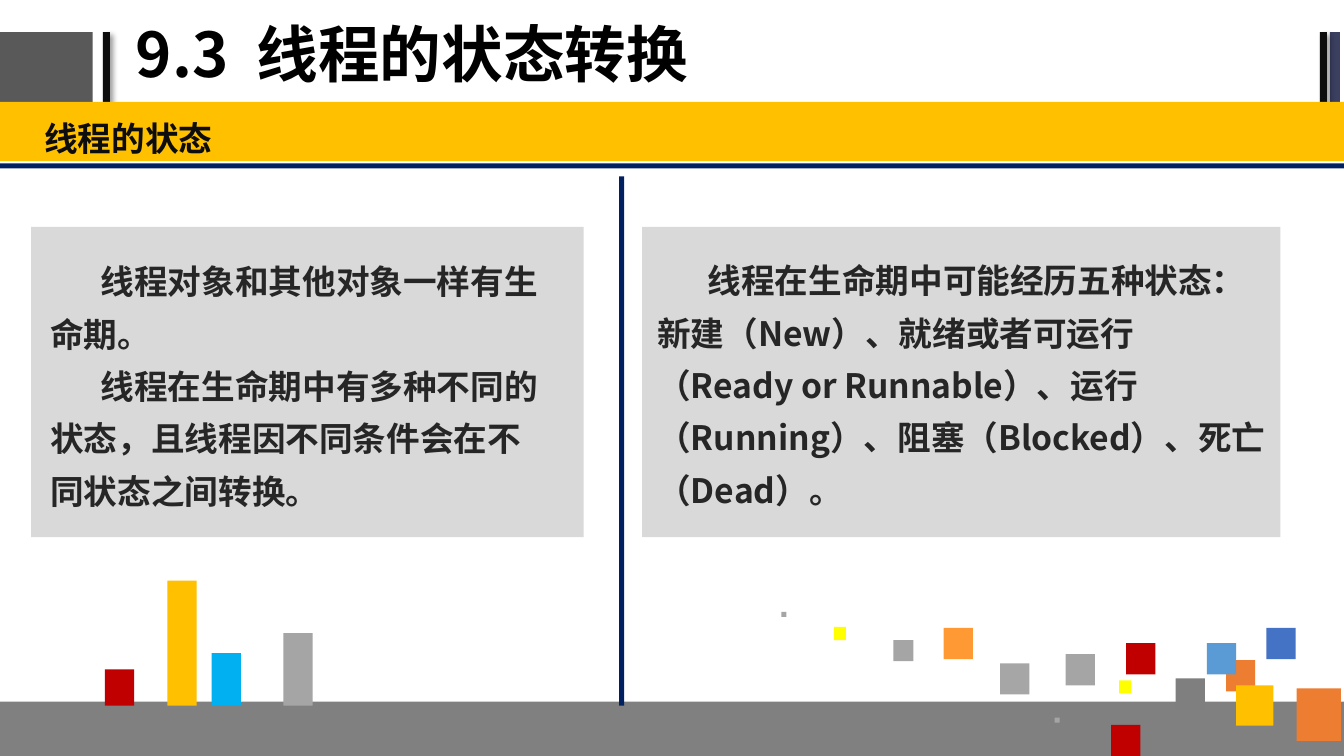
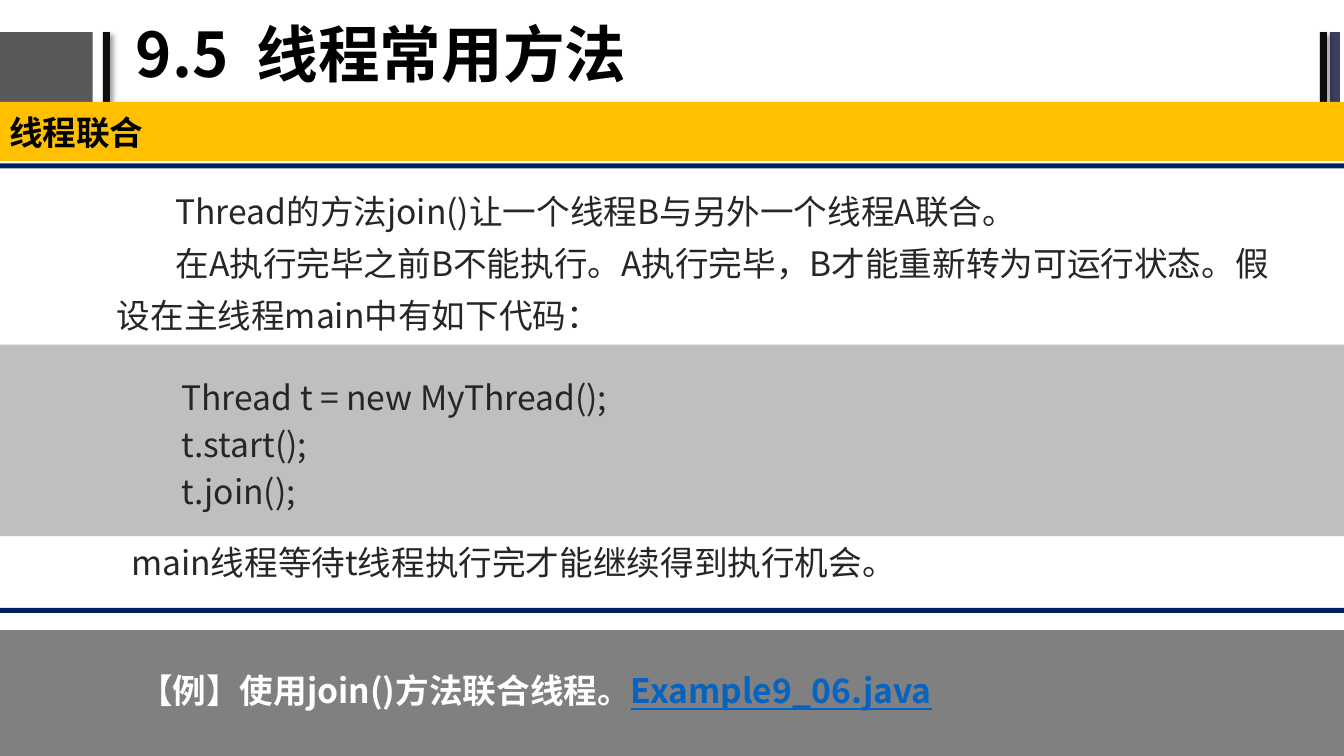
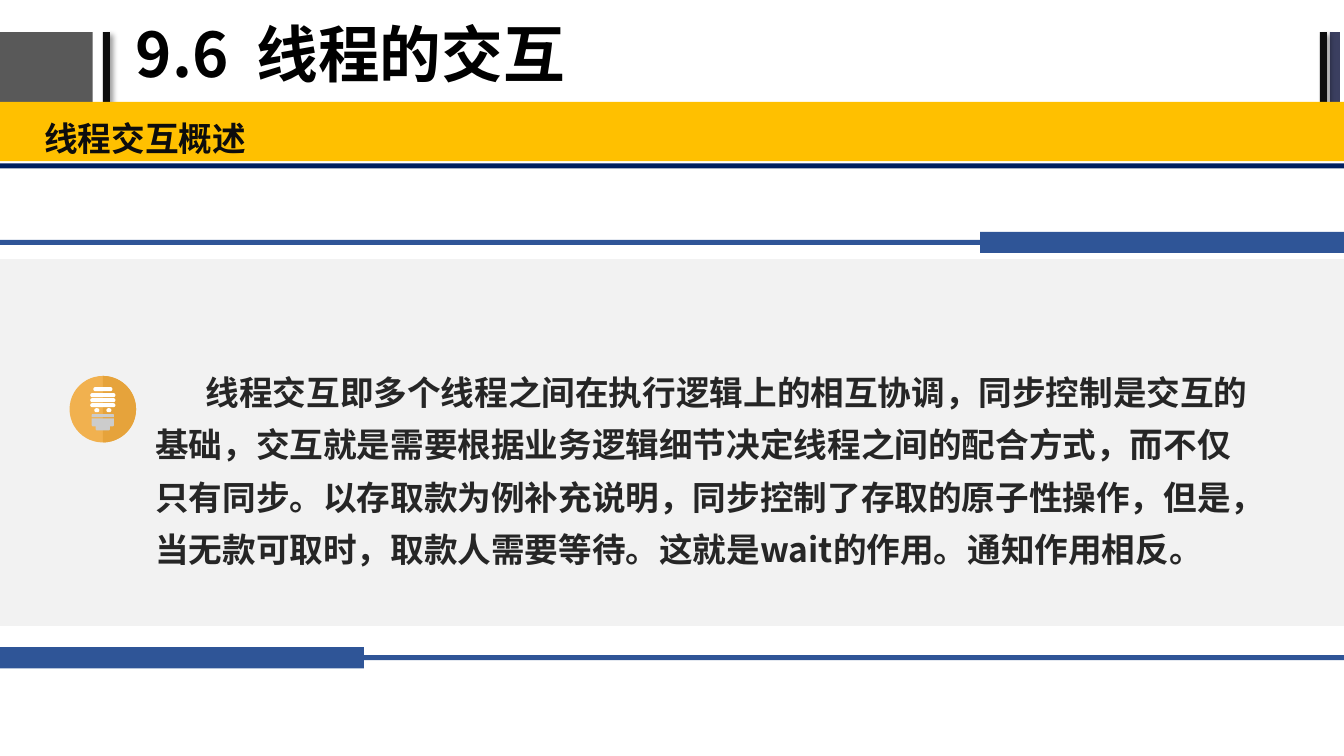
import math
from lxml import etree
from pptx import Presentation
from pptx import util as u
from pptx.dml.color import RGBColor
from pptx.enum import shapes, text
from pptx.oxml.ns import qn

WIDE, HIGH = 13.33, 7.5
FONT = "Noto Sans CJK SC"
NAVY, BLUE, AMBER, GREY = "002060", "2F5597", "FFC000", "808080"
INK, BLACK, WHITE = "262626", "0D0D0D", "FFFFFF"
RED, SILVER, ORANGE, YELLOW = "C00000", "A5A5A5", "ED7D31", "FFFF00"
RULE = 0.05
RECT = shapes.MSO_SHAPE.RECTANGLE
ROUND = shapes.MSO_SHAPE.ROUNDED_RECTANGLE
DOME = shapes.MSO_SHAPE.ROUND_2_SAME_RECTANGLE
OVAL = shapes.MSO_SHAPE.OVAL
TOP, MIDDLE = text.MSO_ANCHOR.TOP, text.MSO_ANCHOR.MIDDLE


def colour(code):
    return RGBColor.from_string(code)


def paint(shape, fill):
    shape.shadow.inherit = False
    shape.fill.solid()
    shape.fill.fore_color.rgb = colour(fill)
    shape.line.fill.background()
    return shape


def block(page, box, fill, kind=RECT):
    return paint(page.shapes.add_shape(kind, *map(u.Inches, box)), fill)


def cast_shadow(shape):
    effects = shape._element.spPr.find(qn("a:effectLst"))
    shadow = etree.SubElement(effects, qn("a:outerShdw"), blurRad=str(u.Pt(4)),
                              dist=str(u.Pt(3)), dir="2700000", algn="tl")
    tint = etree.SubElement(shadow, qn("a:srgbClr"), val="000000")
    etree.SubElement(tint, qn("a:alpha"), val="40000")


def write(page, box, paras, indent=0, lines=1.0, gap=0, anchor=TOP,
          insets=(0.13, 0.07), **style):
    """Each paragraph is a list of (words, format values) spans."""
    frame = page.shapes.add_textbox(*map(u.Inches, box)).text_frame
    frame.word_wrap = True
    frame.vertical_anchor = anchor
    frame.margin_left = frame.margin_right = u.Inches(insets[0])
    frame.margin_top = frame.margin_bottom = u.Inches(insets[1])
    for number, spans in enumerate(paras):
        para = frame.add_paragraph() if number else frame.paragraphs[0]
        para.line_spacing = lines
        para.space_before = u.Pt(gap if number else 0)
        if indent:
            para._p.get_or_add_pPr().set("indent", str(u.Inches(indent)))
        for words, extra in spans:
            add_span(para, words, {"size": 24, "color": INK, **style, **extra})


def add_span(para, words, style):
    span = para.add_run()
    span.text = words
    values = dict(style)
    span.font.color.rgb = colour(values.pop("color"))
    span.font.size = u.Pt(values.pop("size"))
    tracking = values.pop("tracking", 0)
    for name, value in {"name": FONT, **values}.items():
        setattr(span.font, name, value)
    props = span._r.get_or_add_rPr()
    if tracking:
        props.set("spc", str(tracking * 100))
    props.find(qn("a:latin")).addnext(
        etree.Element(qn("a:ea"), typeface=FONT))


def plain(*paras):
    return [[(words, {})] for words in paras]


def header(page, number, title, label, label_left=0.31, anchor=TOP,
           lines=1.2, label_color=BLACK):
    top, tall = 0.32, 0.76
    block(page, (0, top, 0.92, tall), "595959")
    block(page, (13.19, top, 0.1, tall), "3B3F60")
    for left in (1.02, 13.09):
        cast_shadow(block(page, (left, top, 0.07, tall), BLACK))
    write(page, (1.25, 0.02, 8.47, 1.1),
          [[(number, {}), (" ", {"tracking": 10}), (title, {})]],
          lines=0.9, anchor=MIDDLE, insets=(0.1, 0.05),
          size=44, color="000000", bold=True)
    block(page, (0, 1.62, WIDE, RULE), NAVY)
    block(page, (0, 1.01, WIDE, 0.59), AMBER)
    write(page, (label_left, 1.02, WIDE - 1, 0.58), plain(label), lines=lines,
          anchor=anchor, color=label_color, bold=True)


def bars(page, box):
    """Columns standing on the bottom edge of the box."""
    left, top, _, tall = box
    columns = [(1.77, 0.72, SILVER), (1.06, 0.52, "00B0F0"),
               (0.62, 1.24, AMBER), (0, 0.36, RED)]
    for shift, height, fill in columns:
        block(page, (left + shift, top + tall - height, 0.29, height), fill)


def confetti(page, box):
    sizes = {"dot": (0.05, 0.05), "tiny": (0.12, 0.13), "small": (0.2, 0.21),
             "mid": (0.29, 0.31), "big": (0.37, 0.4), "huge": (0.44, 0.52)}
    pieces = [
        (5.11, 0.76, "huge", ORANGE), (4.41, 0.48, "mid", ORANGE),
        (4.51, 0.73, "big", AMBER), (4.22, 0.31, "mid", "5B9BD5"),
        (2.71, 1.05, "dot", SILVER), (4.81, 0.16, "mid", "4472C4"),
        (3.35, 0.68, "tiny", YELLOW), (2.82, 0.42, "mid", SILVER),
        (3.42, 0.31, "mid", RED), (3.91, 0.66, "mid", "7F7F7F"),
        (3.27, 1.12, "mid", RED), (0, 0, "dot", SILVER),
        (0.52, 0.15, "tiny", YELLOW), (1.11, 0.28, "small", SILVER),
        (1.61, 0.16, "mid", "FF9933"), (2.17, 0.51, "mid", "A6A6A6")]
    for x, y, size, fill in pieces:
        block(page, (box[0] + x, box[1] + y, *sizes[size]), fill)


def card(page, box, text_box, paras):
    block(page, box, "D9D9D9")
    write(page, text_box, paras, indent=0.5, lines=1.3, bold=True)


def half_disc(page, box, fill):
    """Right half of the circle that fits the box."""
    left, top, wide, tall = box
    points = [(left + wide / 2 * (1 + math.sin(turn)),
               top + tall / 2 * (1 - math.cos(turn)))
              for turn in (math.pi * step / 36 for step in range(37))]
    outline = page.shapes.build_freeform(
        *map(u.Inches, points[0]), scale=1.0)
    outline.add_line_segments([tuple(map(u.Inches, p)) for p in points[1:]])
    paint(outline.convert_to_shape(), fill)


def bulb(page, box):
    left, top, wide, _ = box
    block(page, box, "F1B14F", OVAL)
    half_disc(page, box, "E6A33B")
    middle = left + wide / 2
    coils = [(0, 0.11, 0.19)] + [(0, 0.17 + 0.05 * row, 0.25)
                                 for row in range(3)]
    feet = [(-0.06, 0.32, 0.05), (0.06, 0.32, 0.05)]
    for shift, drop, width in coils + feet:
        pill = block(page, (middle + shift - width / 2, top + drop,
                            width, 0.04), WHITE, ROUND)
        pill.adjustments[0] = 0.5
    for drop, width, height, kind, turn in [
            (0.38, 0.22, 0.03, DOME, 0), (0.42, 0.22, 0.08, DOME, 180),
            (0.47, 0.14, 0.07, ROUND, 0)]:
        part = block(page, (middle - width / 2, top + drop, width, height),
                     "CCCCCC", kind)
        part.rotation = turn


def ribbon(page, box, tab_left):
    """A thin rule across the box with a thick tab at one end."""
    left, top, wide, tall = box
    block(page, (left, top + 0.08, wide, RULE), BLUE)
    block(page, (tab_left, top, 3.61, tall), BLUE)


def states_slide(page):
    header(page, "9.3", "线程的状态转换", "线程的状态")
    block(page, (0, 6.96, WIDE, 0.54), GREY)
    card(page, (6.37, 2.25, 6.33, 3.08), (6.39, 2.39, 6.33, 2.33), plain(
        "线程在生命期中可能经历五种状态：新建（New）、就绪或者可运行"
        "（Ready or Runnable）、运行（Running）、阻塞（Blocked）、死亡（Dead）。"))
    card(page, (0.31, 2.25, 5.48, 3.08), (0.37, 2.4, 5.16, 2.5), plain(
        "线程对象和其他对象一样有生命期。",
        "线程在生命期中有多种不同的状态，且线程因不同条件会在不同状态之间转换。"))
    bars(page, (1.04, 5.76, 2.06, 1.24))
    block(page, (6.14, 1.75, RULE, 5.25), NAVY)
    confetti(page, (7.75, 6.07, 5.55, 1.43))


def join_slide(page):
    header(page, "9.5", "线程常用方法", "线程联合", label_left=-0.04,
           anchor=MIDDLE, lines=1.0, label_color="000000")
    block(page, (0, 6.25, WIDE, 1.25), GREY)
    write(page, (1.03, 1.7, 11.72, 1.72), plain(
        "Thread的方法join()让一个线程B与另外一个线程A联合。",
        "在A执行完毕之前B不能执行。A执行完毕，B才能重新转为可运行状态。"
        "假设在主线程main中有如下代码："), indent=0.58, lines=1.3)
    block(page, (0, 3.42, WIDE, 1.9), "BFBFBF")
    write(page, (1.17, 3.67, 11.16, 1.5), plain(
        "Thread t = new MyThread();", "t.start();", "t.join();"),
        indent=0.5, gap=4.8)
    write(page, (1.17, 5.31, 11.16, 0.47),
          plain("main线程等待t线程执行完才能继续得到执行机会。"))
    block(page, (0, 6.03, WIDE, RULE), NAVY)
    link = {"color": "0563C1", "underline": True}
    write(page, (1.25, 6.5, 11.51, 0.76),
          [[("【例】使用join()方法联合线程。", {}), ("Example9_06.java", link)]],
          lines=1.2, color=WHITE, bold=True)


def interaction_slide(page):
    header(page, "9.6", "线程的交互", "线程交互概述")
    block(page, (0, 2.57, WIDE, 3.64), "F2F2F2")
    ribbon(page, (0, 2.3, WIDE, 0.21), tab_left=WIDE - 3.61)
    ribbon(page, (0, 6.42, WIDE, 0.21), tab_left=0)
    write(page, (1.41, 3.5, 11.11, 2.21), plain(
        "线程交互即多个线程之间在执行逻辑上的相互协调，同步控制是交互的基础，"
        "交互就是需要根据业务逻辑细节决定线程之间的配合方式，而不仅只有同步。"
        "以存取款为例补充说明，同步控制了存取的原子性操作，但是，当无款可取时，"
        "取款人需要等待。这就是wait的作用。通知作用相反。"),
        indent=0.5, lines=1.3, bold=True)
    bulb(page, (0.69, 3.73, 0.66, 0.66))


def main():
    deck = Presentation()
    deck.slide_width, deck.slide_height = u.Inches(WIDE), u.Inches(HIGH)
    for build in (states_slide, join_slide, interaction_slide):
        build(deck.slides.add_slide(deck.slide_layouts[6]))
    deck.save("out.pptx")


if __name__ == "__main__":
    main()
